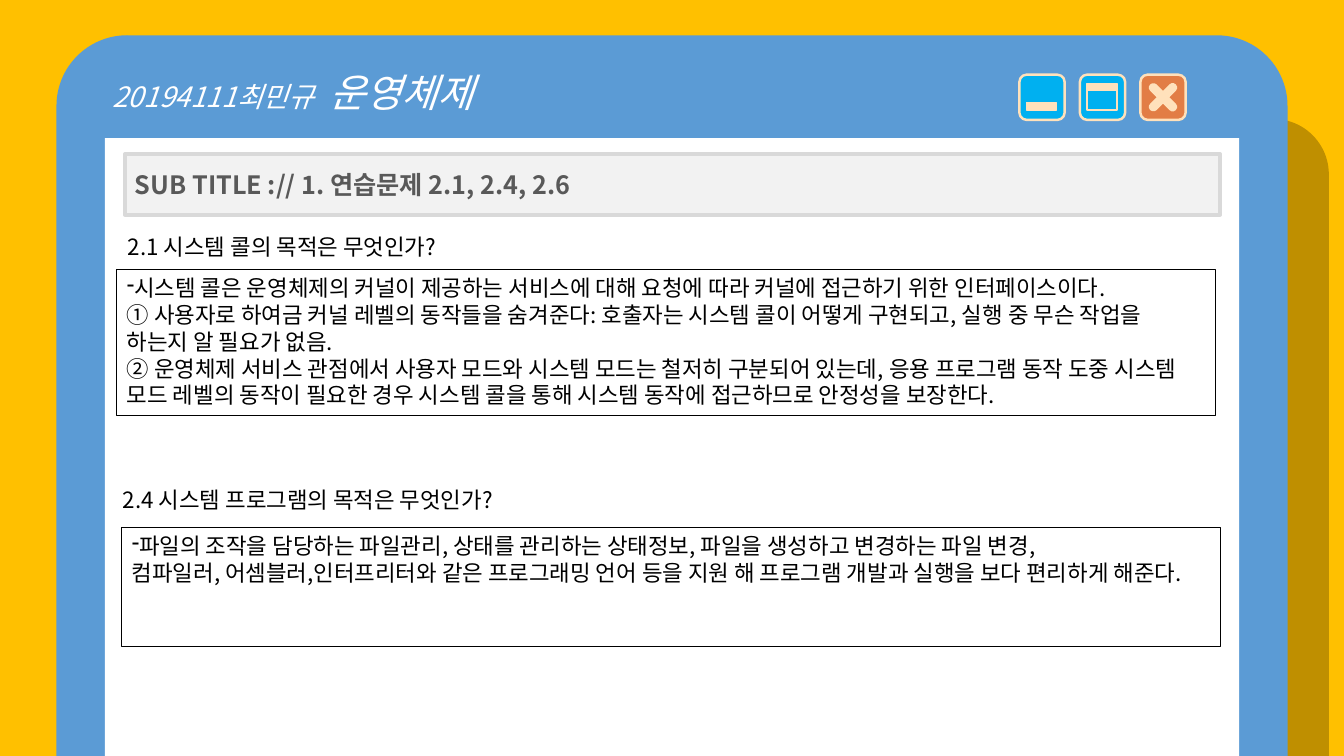
from pptx import Presentation
from pptx import util as u
from pptx.dml import color
from pptx.enum import shapes, text
from pptx.oxml import ns
from lxml import etree

CELL = u.Inches(0.1)  # the slide is a grid of 133.33 columns by 75 rows
FONT = "Noto Sans CJK KR"
KIND = shapes.MSO_SHAPE
CREAM, SKY, ORANGE = "FFE1BB", "00B0F0", "E27D45"
BLACK, WHITE = "000000", "FFFFFF"


def rgb(value):
    return color.RGBColor.from_string(value)


class Board:
    def __init__(self, deck, backdrop):
        self.slide = deck.slides.add_slide(deck.slide_layouts[6])
        self.slide.background.fill.solid()
        self.slide.background.fill.fore_color.rgb = rgb(backdrop)

    def block(self, area, fill, kind=KIND.RECTANGLE, corners=(), line=None,
              opacity=100, turn=0):
        """Draw a filled shape; area is (column, row, columns, rows)."""
        block = self.slide.shapes.add_shape(kind, *(round(n * CELL) for n in area))
        block.shadow.inherit = False
        block.rotation = turn
        for index, corner in enumerate(corners):
            block.adjustments[index] = corner
        block.fill.solid()
        block.fill.fore_color.rgb = rgb(fill)
        if opacity < 100:
            tint = block.fill._xPr.find(".//" + ns.qn("a:srgbClr"))
            etree.SubElement(tint, ns.qn("a:alpha"), val=str(opacity * 1000))
        if line:
            block.line.color.rgb = rgb(line[0])
            block.line.width = u.Pt(line[1])
        else:
            block.line.fill.background()
        return block

    def wording(self, block, paragraphs, ink, bold=False, italic=False,
                anchor=text.MSO_ANCHOR.TOP, dash=False):
        """Fill a shape with paragraphs, each a list of (words, size) runs."""
        frame = block.text_frame
        frame.word_wrap = True
        frame.vertical_anchor = anchor
        for index, runs in enumerate(paragraphs):
            paragraph = frame.add_paragraph() if index else frame.paragraphs[0]
            paragraph.alignment = text.PP_ALIGN.LEFT
            if dash and index == 0:
                bullet = paragraph._p.get_or_add_pPr()
                bullet.set("marL", "0")
                bullet.set("indent", "0")
                etree.SubElement(bullet, ns.qn("a:buChar"), char="-")
            for words, size in runs:
                run = paragraph.add_run()
                run.text = words
                font = run.font
                font.name, font.size = FONT, u.Pt(size)
                font.bold, font.italic = bold, italic
                font.color.rgb = rgb(ink)
                latin = font._element.find(ns.qn("a:latin"))
                latin.addnext(etree.Element(ns.qn("a:ea"), typeface=FONT))
        return frame

    def question(self, column, row, words):
        area = (column, row, 109, 3.7)
        label = self.slide.shapes.add_textbox(*(round(n * CELL) for n in area))
        self.wording(label, [[(words, 16)]], BLACK)

    def answer(self, column, row, rows, paragraphs):
        box = self.block((column, row, 109, rows), WHITE, line=(BLACK, 0.75), opacity=50)
        self.wording(box, [[(words, 16)] for words in paragraphs], BLACK, dash=True)

    def button(self, column, fill):
        self.block((column, 7.4, 4.5, 4.5), fill, KIND.ROUNDED_RECTANGLE,
                   line=(CREAM, 1.75))

    def pane(self, column, row, rows, fill):
        """Draw one part of a window symbol inside a button."""
        self.block((column + 0.7, row, 3, rows), fill, line=(CREAM, 1))


def main():
    deck = Presentation()
    deck.slide_width, deck.slide_height = u.Inches(13.33), u.Inches(7.5)
    board = Board(deck, "FFC000")

    board.block((103.3, 11.8, 28.5, 63.2), BLACK, KIND.ROUND_2_SAME_RECTANGLE,
                (0.193, 0), opacity=25)
    window = board.block((5.6, 3.5, 122.1, 71.5), "5B9BD5",
                         KIND.ROUND_2_SAME_RECTANGLE, (0.098, 0))
    heading = board.wording(window, [[("20194111최민규 ", 20), (" 운영체제", 28)]],
                            WHITE, italic=True)
    heading.margin_left, heading.margin_top = u.Inches(0.35), u.Inches(0.12)
    board.block((10.4, 13.7, 112.5, 61.3), WHITE)

    minimise, maximise, close = (101.1 + 6 * step for step in range(3))
    board.button(minimise, SKY)
    board.pane(minimise, 10.2, 0.7, CREAM)
    board.button(maximise, SKY)
    board.pane(maximise, 9, 1.9, SKY)
    board.pane(maximise, 8.3, 0.7, CREAM)
    board.button(close, ORANGE)
    for turn in (45, 315):
        board.block((close + 1.8, 7.85, 0.9, 3.6), CREAM, KIND.ROUNDED_RECTANGLE,
                    (0.5,), turn=turn)

    subtitle = board.block((12.4, 15.3, 108.6, 6), "F2F2F2", line=("D9D9D9", 3))
    board.wording(subtitle, [[("SUB TITLE :// 1. 연습문제 2.1, 2.4, 2.6", 18)]],
                  "595959", bold=True, anchor=text.MSO_ANCHOR.MIDDLE)

    board.question(11.7, 22.6, "2.1 시스템 콜의 목적은 무엇인가?")
    board.answer(11.6, 26.7, 14.5, [
        "시스템 콜은 운영체제의 커널이 제공하는 서비스에 대해 요청에 따라 "
        "커널에 접근하기 위한 인터페이스이다.",
        "① 사용자로 하여금 커널 레벨의 동작들을 숨겨준다: 호출자는 시스템 콜이 "
        "어떻게 구현되고, 실행 중 무슨 작업을 하는지 알 필요가 없음.",
        "② 운영체제 서비스 관점에서 사용자 모드와 시스템 모드는 철저히 구분되어 "
        "있는데, 응용 프로그램 동작 도중 시스템 모드 레벨의 동작이 필요한 경우 "
        "시스템 콜을 통해 시스템 동작에 접근하므로 안정성을 보장한다.",
    ])
    board.question(11.2, 47.7, "2.4 시스템 프로그램의 목적은 무엇인가?")
    board.answer(12.1, 52.3, 11.8, [
        "파일의 조작을 담당하는 파일관리, 상태를 관리하는 상태정보, "
        "파일을 생성하고 변경하는 파일 변경,",
        "컴파일러, 어셈블러,인터프리터와 같은 프로그래밍 언어 등을 지원 해 "
        "프로그램 개발과 실행을 보다 편리하게 해준다.",
    ])
    deck.save("out.pptx")


if __name__ == "__main__":
    main()
